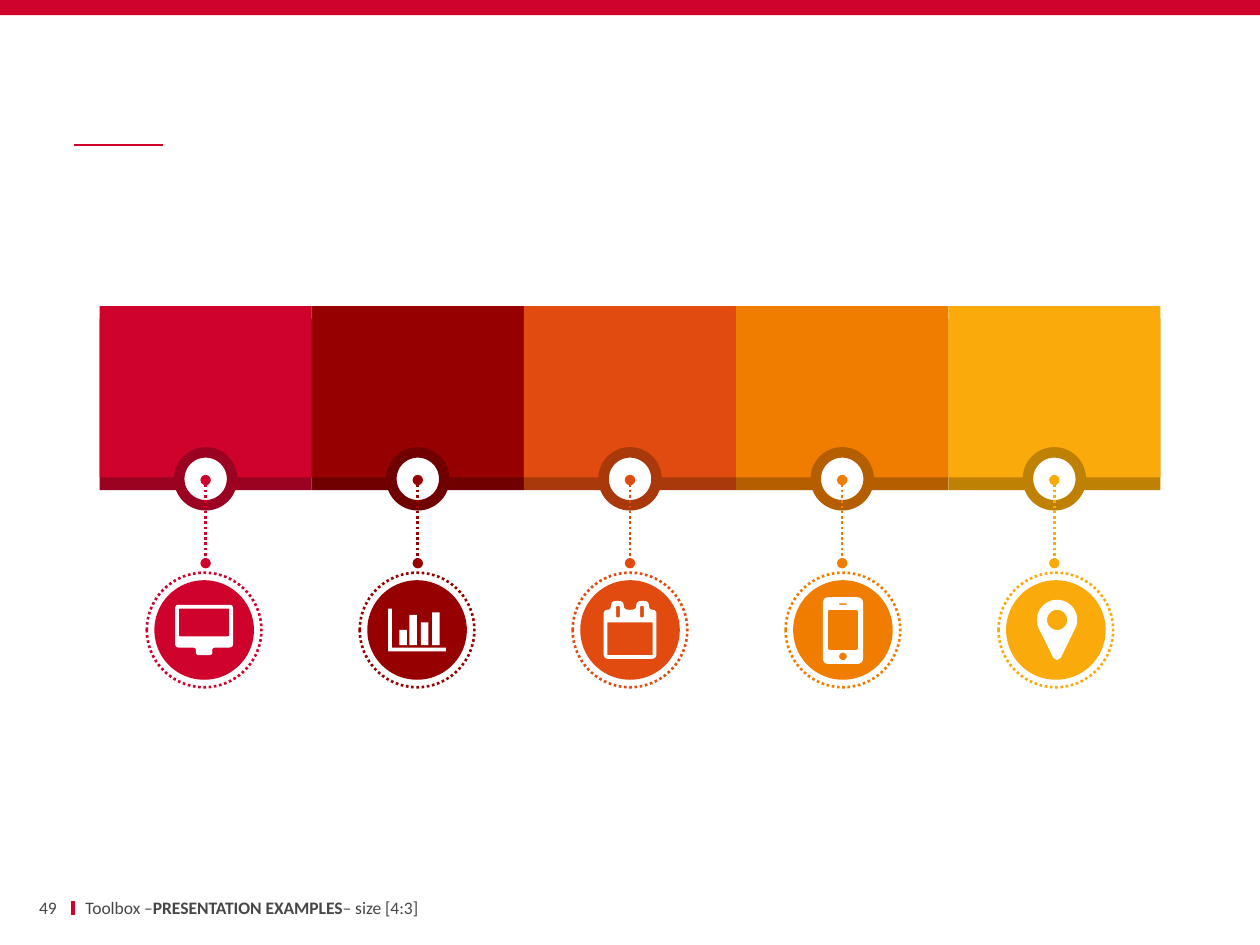
"""Build a five-step timeline slide with coloured bands and icon badges."""
from math import cos, dist, radians, sin

from lxml import etree
from pptx import Presentation
from pptx import util as u
from pptx.dml.color import RGBColor
from pptx.enum import dml, shapes, text
from pptx.oxml.ns import qn

RED, WHITE, GREY = "CF022B", "FFFFFF", "464646"
FONT = "Calibri"
FOOTER = [("Toolbox –", False), ("PRESENTATION EXAMPLES", True), ("– size [4:3]", False)]
BAND_LEFT, BAND_TOP, BAND_WIDTH, BAND_HEIGHT = 0.79, 2.43, 8.42 / 5, 1.36
BADGE_LEFT, BADGE_PITCH, BADGE_Y = 1.62, 1.69, 5.0


def arc(x, y, radius, start=0, end=360):
    return [(x + radius * cos(radians(a)), y + radius * sin(radians(a)))
            for a in range(start, end, 10)]


def rounded(corners, radius):
    """Replace each corner by a short quadratic curve."""
    points = []
    for i, corner in enumerate(corners):
        ends = []
        for other in (corners[i - 1], corners[(i + 1) % len(corners)]):
            share = min(0.5, radius / dist(corner, other))
            ends.append([c + (o - c) * share for c, o in zip(corner, other)])
        for t in (0, 0.25, 0.5, 0.75, 1):
            points.append(tuple((1 - t) ** 2 * a + 2 * t * (1 - t) * c + t * t * b
                                for a, c, b in zip(ends[0], corner, ends[1])))
    return points


def rect(left, top, right, bottom):
    return [(left, top), (right, top), (right, bottom), (left, bottom)]


MONITOR = [
    rounded([(-0.23, -0.2), (0.23, -0.2), (0.23, 0.14), (0.06, 0.14),
             (0.07, 0.2), (-0.07, 0.2), (-0.06, 0.14), (-0.23, 0.14)], 0.03),
    rounded(rect(-0.2, -0.17, 0.2, 0.05), 0.01),
]
BARS = [
    [(-0.23, -0.17), (-0.2, -0.17), (-0.2, 0.14), (0.23, 0.14), (0.23, 0.17), (-0.23, 0.17)],
] + [rect(x, top, x + 0.06, 0.12)
     for x, top in [(-0.14, 0), (-0.06, -0.12), (0.03, -0.06), (0.12, -0.14)]]
CALENDAR = [
    rounded([(-0.21, -0.16), (-0.15, -0.16), (-0.15, -0.23), (-0.05, -0.23),
             (-0.05, -0.16), (0.05, -0.16), (0.05, -0.23), (0.15, -0.23),
             (0.15, -0.16), (0.21, -0.16), (0.21, 0.23), (-0.21, 0.23)], 0.04),
    rect(-0.18, -0.06, 0.18, 0.2),
    rounded(rect(-0.11, -0.19, -0.08, -0.1), 0.01),
    rounded(rect(0.08, -0.19, 0.11, -0.1), 0.01),
]
PHONE = [
    rounded(rect(-0.16, -0.26, 0.16, 0.27), 0.05),
    rounded(rect(-0.12, -0.16, 0.12, 0.16), 0.02),
    rect(-0.03, -0.21, 0.03, -0.2),
    arc(0, 0.21, 0.03),
]
PIN = [
    arc(0.01, -0.08, 0.16, 157, 384) + [(0.04, 0.22), (0.01, 0.24), (-0.02, 0.22)],
    arc(0.01, -0.08, 0.08),
]
STEPS = [
    (RED, "9B0120", MONITOR),
    ("960000", "700000", BARS),
    ("E14B0F", "A9380B", CALENDAR),
    ("F07D00", "B45E00", PHONE),
    ("FAAA0A", "BF8104", PIN),
]


def color(value):
    return RGBColor.from_string(value)


def paint(shape, fill=None, line=None, width=1.5, dotted=False):
    shape.shadow.inherit = False
    if fill:
        shape.fill.solid()
        shape.fill.fore_color.rgb = color(fill)
    else:
        shape.fill.background()
    if line:
        stroke(shape.line, line, width, dotted)
    else:
        shape.line.fill.background()


def stroke(line, value, width, dotted):
    line.color.rgb = color(value)
    line.width = u.Pt(width)
    if dotted:
        line.dash_style = dml.MSO_LINE.ROUND_DOT


def add_rect(page, left, top, width, height, fill):
    shape = page.shapes.add_shape(shapes.MSO_SHAPE.RECTANGLE, *map(u.Inches, (left, top, width, height)))
    paint(shape, fill)


def add_circle(page, x, y, size, **look):
    shape = page.shapes.add_shape(
        shapes.MSO_SHAPE.OVAL, *map(u.Inches, (x - size / 2, y - size / 2, size, size)))
    paint(shape, **look)


def add_line(page, start, end, value, width, dotted=False, dots=False):
    line = page.shapes.add_connector(
        shapes.MSO_CONNECTOR.STRAIGHT, *map(u.Inches, (*start, *end)))
    stroke(line.line, value, width, dotted)
    if dots:
        for tag in ("a:headEnd", "a:tailEnd"):
            etree.SubElement(line.line._get_or_add_ln(), qn(tag), type="oval")
    etree.SubElement(line._element.spPr, qn("a:effectLst"))


def add_icon(page, x, y, contours):
    placed = [[(u.Inches(x + dx), u.Inches(y + dy)) for dx, dy in contour] for contour in contours]
    builder = page.shapes.build_freeform(*placed[0][0])
    builder.add_line_segments(placed[0][1:], close=True)
    for contour in placed[1:]:
        builder.move_to(*contour[0])
        builder.add_line_segments(contour[1:], close=True)
    paint(builder.convert_to_shape(), WHITE)


def add_text(page, spans, left, width, inset, align):
    box = page.shapes.add_textbox(*map(u.Inches, (left, 7.11, width, 0.18)))
    frame = box.text_frame
    frame.word_wrap = True
    frame.vertical_anchor = text.MSO_ANCHOR.MIDDLE
    frame.margin_left = frame.margin_right = u.Inches(inset)
    para = frame.paragraphs[0]
    para.alignment = align
    for words, bold in spans:
        span = para.add_run()
        span.text = words
        span.font.name, span.font.size, span.font.bold = FONT, u.Pt(10), bold
        span.font.color.rgb = color(GREY)


def main():
    deck = Presentation()
    deck.slide_width, deck.slide_height = u.Inches(10), u.Inches(7.5)
    page = deck.slides.add_slide(deck.slide_layouts[6])
    add_line(page, (0.58, 7.15), (0.58, 7.26), RED, 2.25)
    add_line(page, (0.59, 1.15), (1.29, 1.15), RED, 1)
    add_rect(page, 0, 0, 10, 0.12, RED)
    for i, (main_color, dark, _) in enumerate(STEPS):
        left = BAND_LEFT + i * BAND_WIDTH
        add_rect(page, left, BAND_TOP + 0.1, BAND_WIDTH, BAND_HEIGHT, dark)
        add_rect(page, left, BAND_TOP, BAND_WIDTH, BAND_HEIGHT, main_color)
    for i, (main_color, dark, icon) in enumerate(STEPS):
        x = BAND_LEFT + (i + 0.5) * BAND_WIDTH
        add_circle(page, x, 3.8, 0.42, fill=WHITE, line=dark, width=6)
        add_line(page, (x, 3.81), (x, 4.47), main_color, 1.5, dotted=True, dots=True)
        badge_x = BADGE_LEFT + i * BADGE_PITCH
        add_circle(page, badge_x, BADGE_Y, 0.79, fill=main_color)
        add_circle(page, badge_x, BADGE_Y, 0.91, line=main_color, dotted=True)
        add_icon(page, badge_x, BADGE_Y, icon)
    add_text(page, [("49", False)], 0.13, 0.32, 0, text.PP_ALIGN.RIGHT)
    add_text(page, FOOTER, 0.58, 4.97, 0.1, text.PP_ALIGN.LEFT)
    deck.save("out.pptx")


if __name__ == "__main__":
    main()
